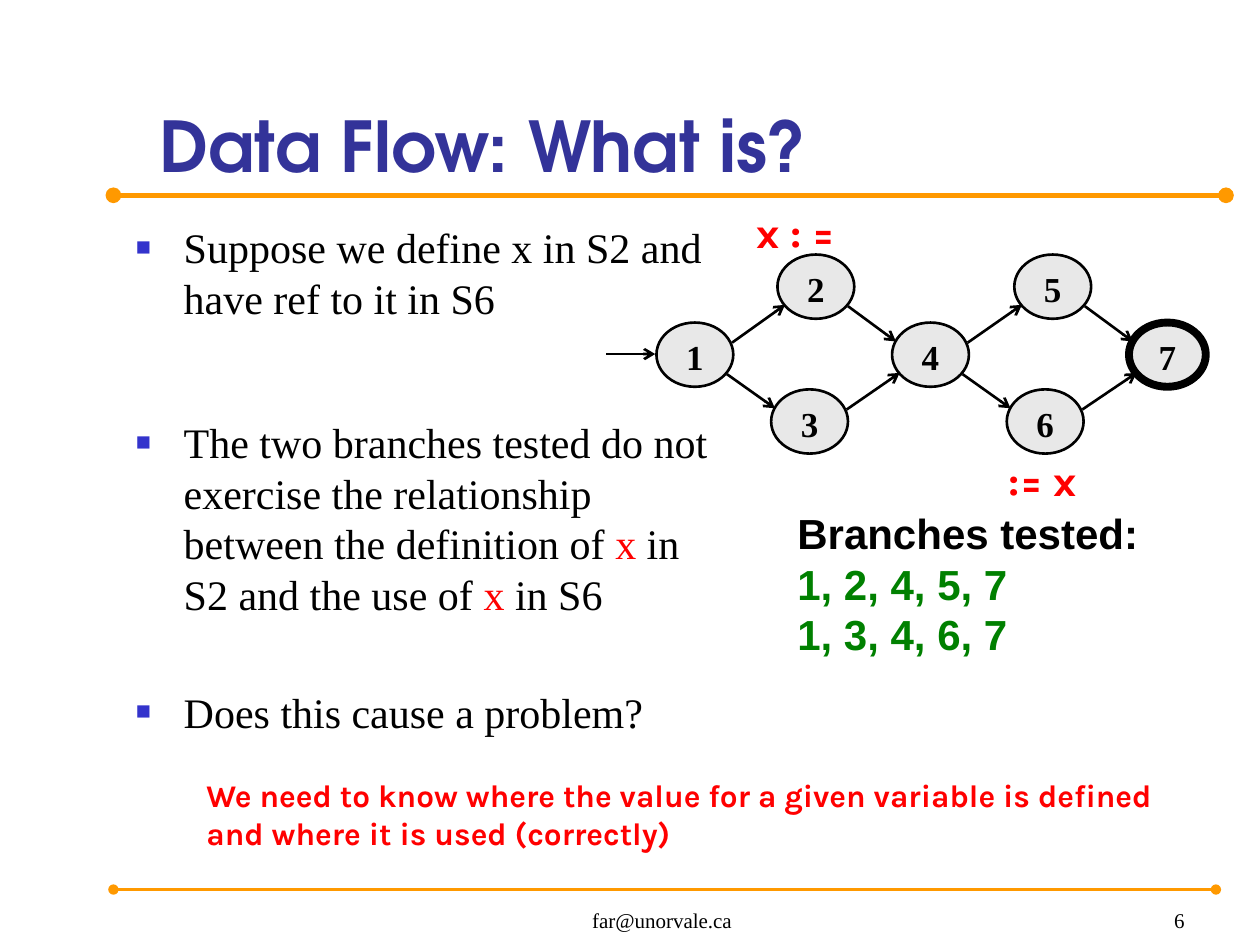
from pptx import Presentation
from pptx.dml.color import RGBColor
from pptx.enum.shapes import MSO_CONNECTOR as Link, MSO_SHAPE as Preset
from pptx.enum.text import MSO_ANCHOR as Anchor, PP_ALIGN as Align
from pptx.oxml.ns import qn
from pptx.util import Inches, Pt
from lxml.etree import SubElement

COLORS = {
    "title": "333399", "bullet": "3333CC", "rule": "FF9900", "ink": "000000",
    "alert": "FF0000", "tested": "008000", "node": "E8E8E8",
}
SERIF, SANS, KARLA, DISPLAY = "Times New Roman", "Arial", "Karla", "TeX Gyre Adventor"


def rgb(name):
    return RGBColor.from_string(COLORS[name])


class FlowSlide:
    """Draws styled elements on one slide, placed on a grid of 100 columns by 75 rows."""

    columns, rows = 100, 75
    node_width, node_height = 6.1, 5.1

    def __init__(self, deck):
        self.column = deck.slide_width / self.columns
        self.row = deck.slide_height / self.rows
        self.shapes = deck.slides.add_slide(deck.slide_layouts[6]).shapes

    def place(self, *lengths):
        units = (self.column, self.row) * 2
        return [round(length * unit) for length, unit in zip(lengths, units)]

    def add_runs(self, paragraph, runs, font, size, bold):
        for words, color in runs:
            run = paragraph.add_run()
            run.text = words
            run.font.name, run.font.size, run.font.bold = font, Pt(size), bold
            run.font.color.rgb = rgb(color)

    def text(self, area, paragraphs, font, size, bold=False, align=Align.LEFT,
             anchor=Anchor.TOP, pitch=None, gaps=None):
        frame = self.shapes.add_textbox(*self.place(*area)).text_frame
        frame.word_wrap = True
        frame.vertical_anchor = anchor
        for index, runs in enumerate(paragraphs):
            paragraph = frame.add_paragraph() if index else frame.paragraphs[0]
            paragraph.alignment = align
            if pitch:
                paragraph.line_spacing = Pt(pitch)
            if gaps:
                paragraph.space_before = Pt(gaps[index])
            self.add_runs(paragraph, runs, font, size, bold)
        return frame

    def bullets(self, area, paragraphs, gaps):
        frame = self.text(area, paragraphs, SERIF, 24, pitch=28.8, gaps=gaps)
        for paragraph in frame.paragraphs:
            props = paragraph._p.get_or_add_pPr()
            props.set("marL", str(Inches(0.38)))
            props.set("indent", str(-Inches(0.38)))
            tint = SubElement(props, qn("a:buClr"))
            SubElement(tint, qn("a:srgbClr"), val=COLORS["bullet"])
            SubElement(props, qn("a:buSzPct"), val="60000")
            SubElement(props, qn("a:buFont"), typeface=SANS)
            SubElement(props, qn("a:buChar"), char="■")

    def line(self, start, end, color="ink", weight=1.5, head=None, tail="arrow"):
        stroke = self.shapes.add_connector(Link.STRAIGHT, *self.place(*start, *end))
        stroke.line.color.rgb = rgb(color)
        stroke.line.width = Pt(weight)
        outline = stroke.line._get_or_add_ln()
        for tag, kind in (("a:headEnd", head), ("a:tailEnd", tail)):
            if kind:
                SubElement(outline, qn(tag), type=kind)
        SubElement(stroke._element.spPr, qn("a:effectLst"))

    def node(self, label, corner, weight):
        area = self.place(*corner, self.node_width, self.node_height)
        state = self.shapes.add_shape(Preset.OVAL, *area)
        state.shadow.inherit = False
        state.fill.solid()
        state.fill.fore_color.rgb = rgb("node")
        state.line.color.rgb = rgb("ink")
        state.line.width = Pt(weight)
        frame = state.text_frame
        frame.margin_left = frame.margin_right = frame.margin_bottom = 0
        frame.margin_top = Pt(2)
        frame.vertical_anchor = Anchor.MIDDLE
        frame.paragraphs[0].alignment = Align.CENTER
        self.add_runs(frame.paragraphs[0], [(label, "ink")], SERIF, 20, True)

    def edge(self, source, target):
        rising = target[1] < source[1]
        leave, arrive = ((6, 1.6), (0.6, 4)) if rising else ((5.6, 4.1), (0.3, 1.5))
        self.line([a + b for a, b in zip(source, leave)],
                  [a + b for a, b in zip(target, arrive)])


def main():
    deck = Presentation()
    deck.slide_width, deck.slide_height = Inches(10), Inches(7.5)
    slide = FlowSlide(deck)

    for right, height, weight in ((97.3, 15.5, 3), (96.5, 70.6, 1.5)):
        slide.line((9, height), (right, height), "rule", weight, "oval", "oval")

    slide.text((11.7, 2.8, 86.1, 12.5), [[("Data Flow: What is?", "title")]],
               DISPLAY, 40, True, anchor=Anchor.BOTTOM)
    slide.bullets((9.8, 17.1, 47.8, 49.6), [
        [("Suppose we define x in S2 and have ref to it in S6", "ink")],
        [("The two branches tested do not exercise the relationship between "
          "the definition of ", "ink"), ("x", "alert"),
         (" in S2 and the use of ", "ink"), ("x ", "alert"), ("in S6", "ink")],
        [("Does this cause a problem?", "ink")],
    ], gaps=(0, 54, 38.6))
    for area, words, align in (
        ((36.7, 70.1, 31.7, 4.4), "far@unorvale.ca", Align.CENTER),
        ((74.2, 70.1, 20.8, 4.4), "6", Align.RIGHT),
    ):
        slide.text(area, [[(words, "ink")]], SERIF, 12, align=align, anchor=Anchor.BOTTOM)

    upper, middle, lower = 20.2, 25.6, 30.9
    states = {
        "1": (52.1, middle), "2": (61.7, upper), "3": (61.2, lower),
        "4": (70.8, middle), "5": (80.5, upper), "6": (79.9, lower),
        "7": (89.6, middle),
    }
    for label, corner in states.items():
        slide.node(label, corner, 4.5 if label == "7" else 1.5)
    slide.line((48.1, 28.1), (52, 28.1))
    for source, target in ("12", "13", "24", "34", "45", "46", "57", "67"):
        slide.edge(states[source], states[target])

    for area, words in (((59.1, 15.9, 10, 5), "x : ="), ((79.1, 35.6, 9, 5), ":= x")):
        slide.text(area, [[(words, "alert")]], KARLA, 24, True)
    slide.text((62.3, 39.8, 34, 13.1), [
        [("Branches tested:", "ink")],
        [("1, 2, 4, 5, 7", "tested")],
        [("1, 3, 4, 6, 7", "tested")],
    ], SANS, 24, True, pitch=28.8)
    slide.text((15.4, 61.1, 78, 7.1), [
        [("We need to know where the value for a given variable is defined "
          "and where it is used (correctly)", "alert")],
    ], KARLA, 18, True, pitch=21.6)

    deck.save("out.pptx")


if __name__ == "__main__":
    main()
